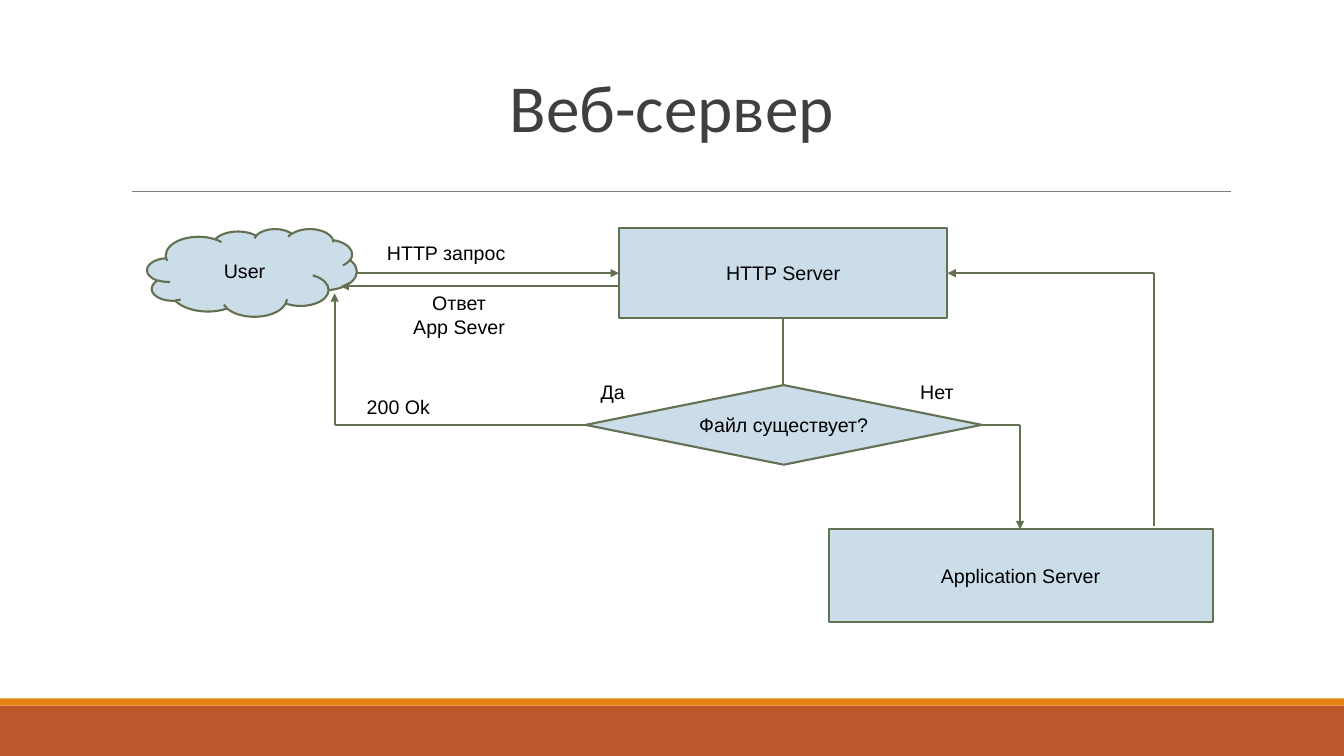
import pptx
import pptx.dml.color
import pptx.enum.shapes
import pptx.enum.text
import pptx.oxml.ns
import pptx.util
from lxml import etree

RGB = pptx.dml.color.RGBColor
SHAPE = pptx.enum.shapes.MSO_SHAPE
ALIGN = pptx.enum.text.PP_ALIGN
ANCHOR = pptx.enum.text.MSO_ANCHOR

GREEN = RGB(0x63, 0x70, 0x52)
PALE_BLUE = RGB(0xCC, 0xDD, 0xEA)
GRAY = RGB(0x7F, 0x7F, 0x7F)
DARK = RGB(0x3F, 0x3F, 0x3F)
BLACK = RGB(0x00, 0x00, 0x00)
RUST = RGB(0xBD, 0x58, 0x2C)
ORANGE = RGB(0xE4, 0x83, 0x12)

COLUMNS, ROWS = 40, 30


class Diagram:
    """Draws on one slide; all lengths are grid columns and rows."""

    font, size, line_width, inset = "Arial", 14, 1.5, 0.1

    def __init__(self, prs):
        self.column = prs.slide_width / COLUMNS
        self.row = prs.slide_height / ROWS
        self.slide = prs.slides.add_slide(prs.slide_layouts[5])
        self.shapes = self.slide.shapes

    def place(self, *lengths):
        """Turn alternating columns and rows into EMU."""
        units = (self.column, self.row)
        return [round(n * units[i % 2]) for i, n in enumerate(lengths)]

    def set_text(self, sp, text, align, anchor, font=font, size=size, color=BLACK):
        tf = sp.text_frame
        tf.text = text
        tf.word_wrap = True
        tf.auto_size = pptx.enum.text.MSO_AUTO_SIZE.NONE
        tf.vertical_anchor = anchor
        tf.margin_left = tf.margin_right = pptx.util.Inches(self.inset)
        tf.margin_top = tf.margin_bottom = pptx.util.Inches(self.inset)
        for p in tf.paragraphs:
            p.alignment = align
            for r in p.runs:
                r.font.name = font
                r.font.size = pptx.util.Pt(size)
                r.font.color.rgb = color

    def title(self, text, *box):
        sp = self.shapes.title
        sp.left, sp.top, sp.width, sp.height = self.place(*box)
        self.set_text(sp, text, ALIGN.CENTER, ANCHOR.BOTTOM, "Calibri", 48, DARK)
        sp.text_frame.paragraphs[0].line_spacing = 0.85

    def band(self, color, top, height):
        sp = self.shapes.add_shape(
            SHAPE.RECTANGLE, *self.place(0, top, COLUMNS, height))
        sp.shadow.inherit = False
        sp.fill.solid()
        sp.fill.fore_color.rgb = color
        sp.line.fill.background()

    def node(self, kind, text, *box):
        sp = self.shapes.add_shape(kind, *self.place(*box))
        sp.shadow.inherit = False
        sp.fill.solid()
        sp.fill.fore_color.rgb = PALE_BLUE
        sp.line.color.rgb = GREEN
        sp.line.width = pptx.util.Pt(self.line_width)
        self.set_text(sp, text, ALIGN.CENTER, ANCHOR.MIDDLE)

    def label(self, text, *box, align=ALIGN.LEFT):
        sp = self.shapes.add_textbox(*self.place(*box))
        self.set_text(sp, text, align, ANCHOR.TOP)

    def route(self, *points, arrow=True, color=GREEN, width=line_width):
        """Join the points with straight lines; the arrow is at the last one."""
        for start, end in zip(points, points[1:]):
            cxn = self.shapes.add_connector(
                pptx.enum.shapes.MSO_CONNECTOR.STRAIGHT, *self.place(*start, *end))
            cxn.line.color.rgb = color
            cxn.line.width = pptx.util.Pt(width)
            sp_pr = cxn._element.spPr
            etree.SubElement(sp_pr, pptx.oxml.ns.qn("a:effectLst"))
        if arrow:
            ln = sp_pr.find(pptx.oxml.ns.qn("a:ln"))
            etree.SubElement(ln, pptx.oxml.ns.qn("a:tailEnd"), type="triangle")


def main():
    prs = pptx.Presentation()
    prs.slide_width = pptx.util.Inches(13.333)
    prs.slide_height = pptx.util.Inches(7.5)
    d = Diagram(prs)

    d.route((3.93, 7.6), (36.63, 7.6), arrow=False, color=GRAY, width=0.75)
    d.band(RUST, 28, 2)
    d.band(ORANGE, 27.72, 0.28)
    d.title("Веб-сервер", 2, 1.2, 36, 5)

    d.node(SHAPE.CLOUD, "User", 4.38, 9.08, 6.24, 3.48)
    d.node(SHAPE.RECTANGLE, "HTTP Server", 18.42, 9.04, 9.78, 3.6)
    d.node(SHAPE.FLOWCHART_DECISION, "Файл существует?", 17.43, 15.28, 11.79, 3.16)
    d.node(SHAPE.RECTANGLE, "Application Server", 24.66, 21, 11.43, 3.68)

    request_y, reply_y, decision_y = 10.84, 11.36, 16.86
    d.route((10.62, request_y), (18.42, request_y))
    d.route((18.42, reply_y), (10.14, reply_y))
    d.route((23.31, 12.64), (23.31, 15.28), arrow=False)
    d.route((17.43, decision_y), (9.96, decision_y), (9.96, 11.64))
    d.route((29.22, decision_y), (30.36, decision_y), (30.36, 21))
    d.route((34.35, 20.88), (34.35, request_y), (28.2, request_y))

    d.label("HTTP запрос", 11.22, 9.16, 6.57, 2)
    d.label("Ответ\nApp Sever", 10.38, 11.16, 6.57, 2.28, align=ALIGN.CENTER)
    d.label("200 Ok", 10.62, 15.28, 3.75, 1.4)
    d.label("Да", 17.58, 14.68, 2.13, 1.4)
    d.label("Нет", 27.09, 14.68, 2.46, 1.4)

    prs.save("out.pptx")


if __name__ == "__main__":
    main()
